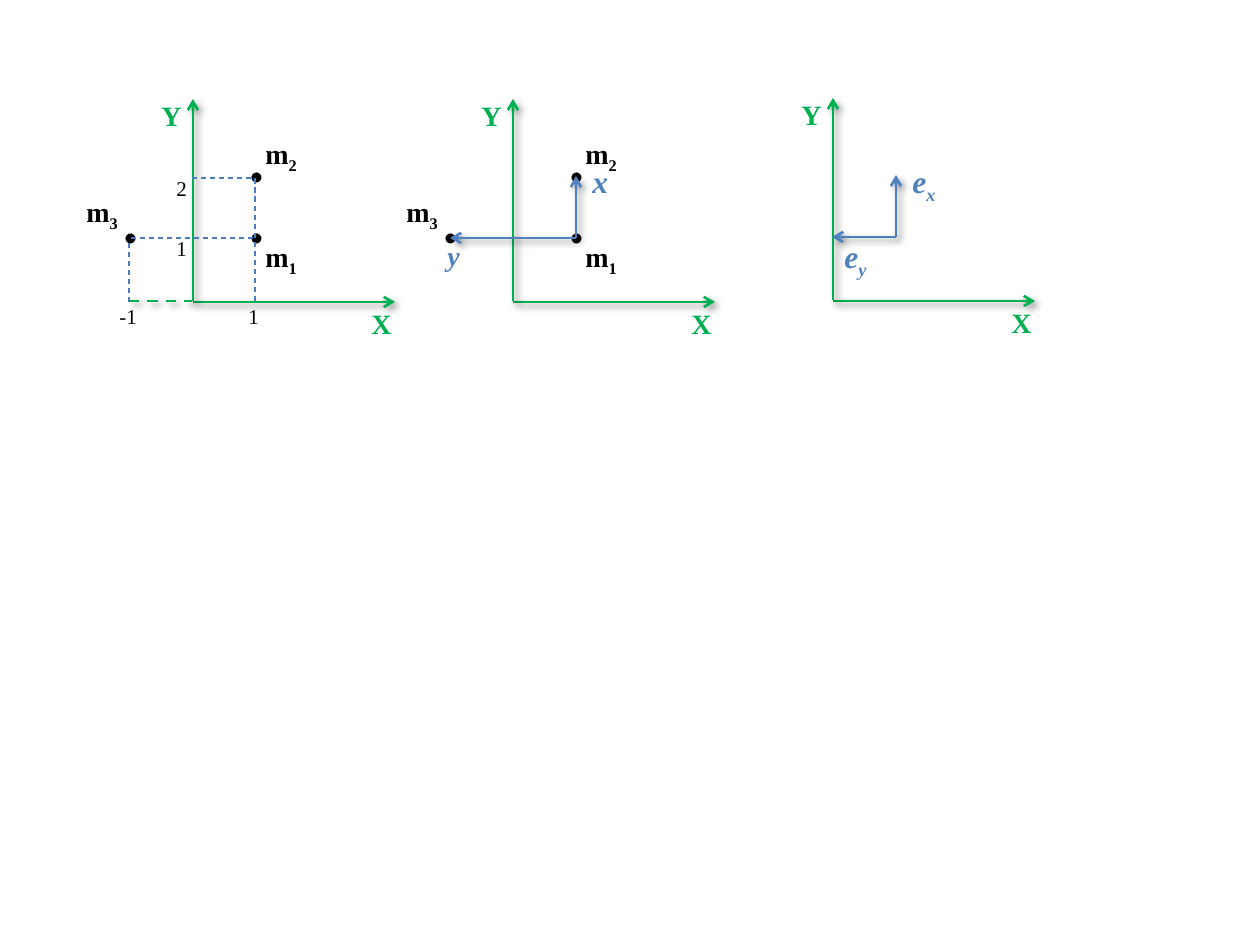
from lxml.etree import SubElement
from pptx import Presentation
from pptx.dml.color import RGBColor
from pptx.enum.dml import MSO_LINE_DASH_STYLE as Dash
from pptx.enum.shapes import MSO_CONNECTOR as Connector, MSO_SHAPE as Shape
from pptx.enum.text import MSO_AUTO_SIZE as AutoSize
from pptx.oxml.ns import qn
from pptx.util import Pt

PX = 914400 / 126
COLORS = {"axis": "00B050", "vector": "4F81BD", "guide": "4B7EBC",
          "ink": "000000", "paper": "FFFFFF"}
FONT = "Times New Roman"


def emu(px):
    return round(px * PX)


def rgb(name):
    return RGBColor.from_string(COLORS[name])


class Plot:
    """Draws on a page, with lengths in px from the current origin."""

    def __init__(self, page):
        self.page = page
        self.origin = (0, 0)

    def place(self, x, y):
        return emu(self.origin[0] + x), emu(self.origin[1] + y)

    def line(self, start, end, color, width=1.5, dash=False, arrow=False, shadow=False):
        line = self.page.shapes.add_connector(
            Connector.STRAIGHT, *self.place(*start), *self.place(*end))
        line.line.color.rgb = rgb(color)
        line.line.width = Pt(width)
        if dash:
            line.line.dash_style = Dash.DASH
        props = line._element.spPr
        if arrow:
            SubElement(props.find(qn("a:ln")), qn("a:tailEnd"), type="arrow")
        effects = SubElement(props, qn("a:effectLst"))
        if shadow:
            cast = SubElement(effects, qn("a:outerShdw"), blurRad="50800", dist="38100",
                              dir="2700000", algn="tl", rotWithShape="0")
            tint = SubElement(cast, qn("a:srgbClr"), val=COLORS["ink"])
            SubElement(tint, qn("a:alpha"), val="40000")

    def arrow(self, start, end, color):
        self.line(start, end, color, arrow=True, shadow=True)

    def guide(self, start, end):
        self.line(start, end, "guide", width=0.75, dash=True)

    def dot(self, x, y, size=13):
        dot = self.page.shapes.add_shape(
            Shape.OVAL, *self.place(x - size // 2, y - size // 2), emu(size), emu(size))
        dot.rotation = 341.5
        dot.shadow.inherit = False
        dot.fill.solid()
        dot.fill.fore_color.rgb = rgb("ink")
        dot.line.color.rgb = rgb("paper")
        dot.line.width = Pt(1.5)

    def text(self, words, x, y, width, height=47, sub="", size=16, color="ink",
             bold=True, italic=False):
        box = self.page.shapes.add_textbox(*self.place(x, y), emu(width), emu(height))
        frame = box.text_frame
        frame.word_wrap = False
        frame.auto_size = AutoSize.SHAPE_TO_FIT_TEXT
        para = frame.paragraphs[0]
        para.font.name = FONT
        para.font.size = Pt(size)
        para.font.bold = bold
        para.font.italic = italic
        para.font.color.rgb = rgb(color)
        para.add_run().text = words
        if sub:
            span = para.add_run()
            span.text = sub
            span.font._element.set("baseline", "-25000")

    def tick(self, words, x, y, width=37):
        self.text(words, x, y, width, 38, size=12, bold=False)

    def vector_name(self, words, x, y, width, height=50, sub="", size=18):
        self.text(words, x, y, width, height, sub, size, "vector", italic=True)

    def axes(self):
        self.arrow((0, 0), (202, 0), "axis")
        self.arrow((0, -1), (0, -203), "axis")
        self.text("Y", -44, -210, 45, color="axis")
        self.text("X", 166, -2, 45, color="axis")

    def masses(self):
        for sub, dot, label in (("1", (63, -64), (60, -69)),
                                ("2", (63, -125), (60, -172)),
                                ("3", (-63, -64), (-119, -114))):
            self.dot(*dot)
            self.text("m", *label, 58, sub=sub)


def main():
    deck = Presentation()
    deck.slide_width, deck.slide_height = emu(1260), emu(945)
    plot = Plot(deck.slides.add_slide(deck.slide_layouts[6]))

    # Left: mass coordinates
    plot.origin = (193, 302)
    plot.axes()
    plot.masses()
    plot.guide((62, -1), (62, -124))
    plot.guide((-62, -64), (62, -64))
    plot.guide((-1, -124), (62, -124))
    plot.guide((-64, 0), (-64, -63))
    plot.line((-64, -1), (-1, -1), "axis", dash=True, shadow=True)
    plot.tick("1", 43, -5)
    plot.tick("1", -29, -73)
    plot.tick("2", -29, -133)
    plot.tick("-1", -86, -5, 43)

    # Middle: vectors between the masses
    plot.origin = (513, 302)
    plot.axes()
    plot.masses()
    plot.arrow((63, -64), (63, -126), "vector")
    plot.arrow((63, -64), (-63, -64), "vector")
    plot.vector_name("x", 67, -146, 42)
    plot.vector_name("y", -78, -70, 38, 47, size=16)

    # Right: unit vectors
    plot.origin = (833, 301)
    plot.axes()
    plot.arrow((63, -64), (63, -126), "vector")
    plot.arrow((63, -64), (-1, -64), "vector")
    plot.vector_name("e", 67, -145, 59, sub="x")
    plot.vector_name("e", -1, -70, 58, sub="y")

    deck.save("out.pptx")


if __name__ == "__main__":
    main()
